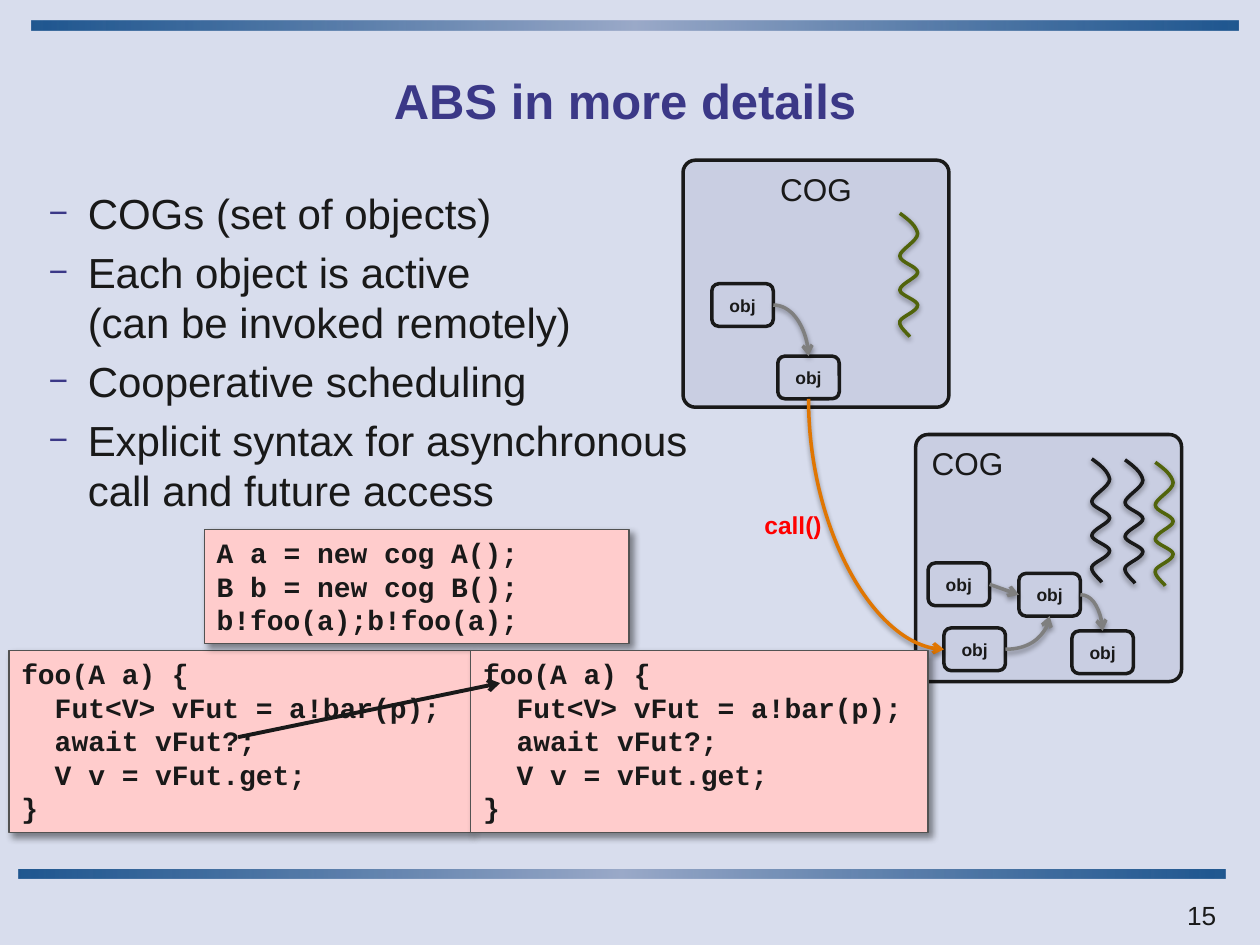
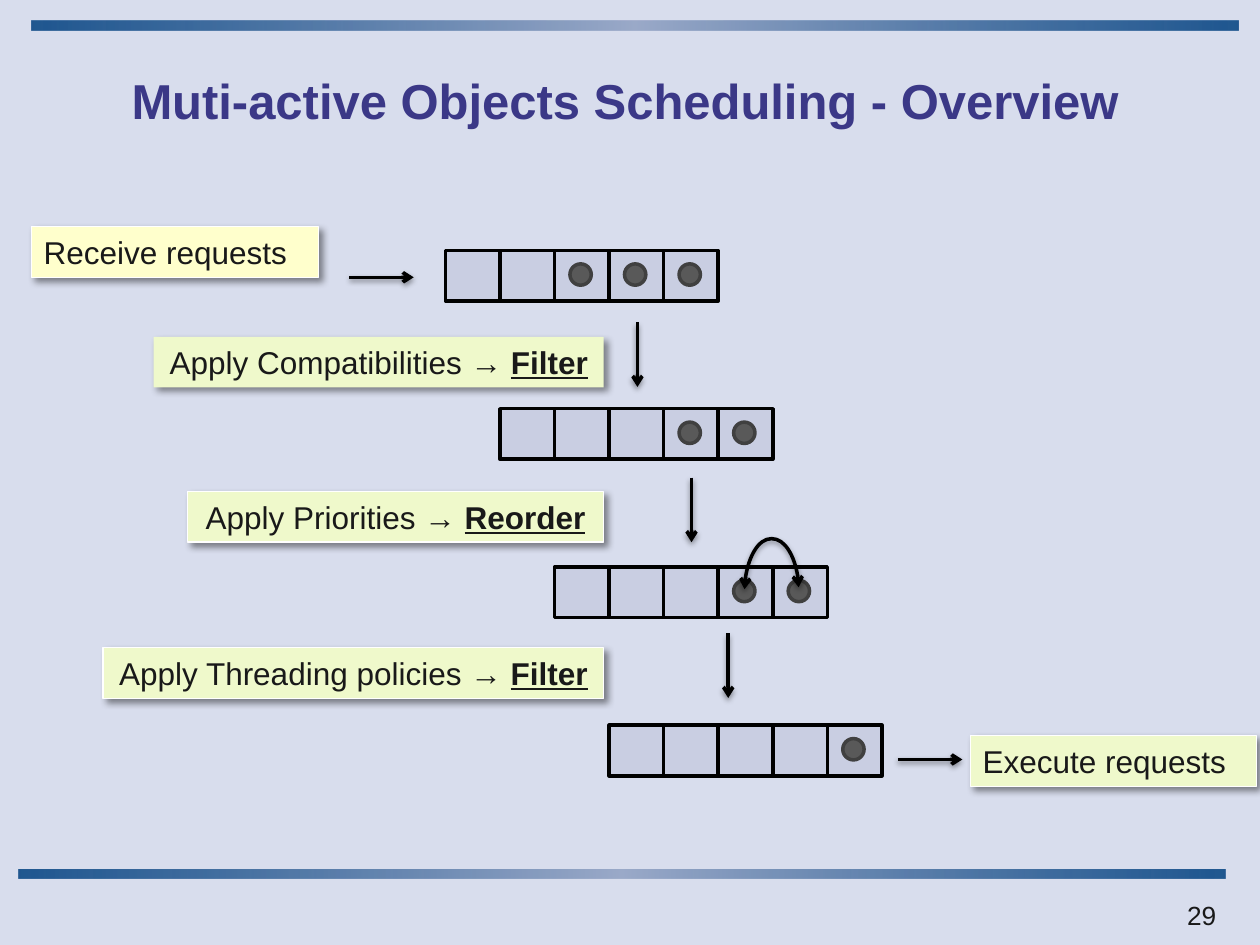
import pptx
import pptx.util
import pptx.dml.color
import pptx.enum.shapes
import pptx.enum.text
import pptx.oxml
import pptx.oxml.ns
from dataclasses import dataclass
from lxml import etree

Cm, Pt = pptx.util.Cm, pptx.util.Pt
SHAPE = pptx.enum.shapes.MSO_SHAPE
LINK = pptx.enum.shapes.MSO_CONNECTOR
ALIGN = pptx.enum.text.PP_ALIGN
ANCHOR = pptx.enum.text.MSO_ANCHOR
qn = pptx.oxml.ns.qn
TOP, LEFT, BOTTOM, RIGHT = range(4)


@dataclass(frozen=True)
class Theme:
    back: str = "D8DDED"
    ink: str = "191919"
    title: str = "3B3887"
    band_edge: str = "004080"
    band_mid: str = "9BAAC9"
    panel: str = "C9CEE2"
    code: str = "FFCCCC"
    code_edge: str = "525252"
    thread: str = "51640B"
    local_call: str = "7F7F7F"
    remote_call: str = "E07602"
    call_text: str = "FF0000"
    black: str = "000000"
    white: str = "FFFFFF"
    receive: str = "FFFFCC"
    step: str = "EFF9CB"
    dot: str = "595959"
    dot_edge: str = "404040"
    font: str = "Arial"
    mono: str = "Courier New"
    title_size: int = 28
    body_size: int = 24
    label_size: int = 18
    code_size: int = 16
    page_size: int = 15
    call_size: int = 14
    obj_size: int = 10
    soft_shadow: tuple = (38, 3.1, 1.6, 90)
    box_shadow: tuple = (43, 4, 3, 45)


T = Theme()


def rgb(color):
    return pptx.dml.color.RGBColor.from_string(color)


def sub(parent, tag, **attrs):
    el = etree.SubElement(parent, qn(tag))
    for name, value in attrs.items():
        el.set(name, str(value))
    return el


def add_shadow(sp, shadow):
    pr = sp._element.spPr
    for old in pr.findall(qn("a:effectLst")):
        pr.remove(old)
    effects = sub(pr, "a:effectLst")
    if shadow:
        alpha, blur, dist, angle = shadow
        outer = sub(effects, "a:outerShdw", blurRad=Pt(blur), dist=Pt(dist),
                    dir=angle * 60000, rotWithShape=0)
        sub(sub(outer, "a:srgbClr", val=T.black), "a:alpha", val=alpha * 1000)


def set_line(sp, color, width):
    if color is None:
        sp.line.fill.background()
        return
    sp.line.color.rgb = rgb(color)
    sp.line.width = Pt(width)


def add_box(shapes, box, fill, line=None, width=2, kind=SHAPE.RECTANGLE, shadow=None):
    sp = shapes.add_shape(kind, *map(Cm, box))
    sp.fill.solid()
    sp.fill.fore_color.rgb = rgb(fill)
    set_line(sp, line, width)
    add_shadow(sp, shadow)
    return sp


def add_text(sp, paragraphs, size, color=T.ink, align=ALIGN.LEFT, anchor=ANCHOR.TOP,
             wrap=True, name=T.font, bold=False):
    tf = sp.text_frame
    for key, value in {"word_wrap": wrap, "vertical_anchor": anchor}.items():
        setattr(tf, key, value)
    for i, runs in enumerate(paragraphs):
        p = tf.paragraphs[0] if i == 0 else tf.add_paragraph()
        p.alignment = align
        for text, extra in [(runs, {})] if isinstance(runs, str) else runs:
            style = {"name": name, "size": Pt(size), "bold": bold, **extra}
            for j, line in enumerate(text.split("\n")):
                if j:
                    p.add_line_break()
                r = p.add_run()
                r.text = line
                for key, value in style.items():
                    setattr(r.font, key, value)
                r.font.color.rgb = rgb(color)
    return tf


def add_arrow(s, start, end, color=T.black, width=2, kind=LINK.STRAIGHT,
              shadow=T.soft_shadow, both=False):
    joins = [pt if hasattr(pt[0], "shape_id") else None for pt in (start, end)]
    ends = [(0, 0) if join else pt for join, pt in zip(joins, (start, end))]
    cx = s.shapes.add_connector(kind, *map(Cm, ends[0] + ends[1]))
    if joins[0]:
        cx.begin_connect(*joins[0])
    if joins[1]:
        cx.end_connect(*joins[1])
    set_line(cx, color, width)
    ln = cx.line._get_or_add_ln()
    if both:
        sub(ln, "a:headEnd", type="arrow")
    sub(ln, "a:tailEnd", type="arrow")
    add_shadow(cx, shadow)
    return cx


def bend(cx, preset, rot=0, adjust=None, **flips):
    geom = cx._element.spPr.find(qn("a:prstGeom"))
    geom.set("prst", preset)
    if adjust is not None:
        sub(geom.find(qn("a:avLst")), "a:gd", name="adj1", fmla=f"val {adjust}")
    if rot:
        x, y, w, h = cx.left, cx.top, cx.width, cx.height
        cx.left, cx.top = x + (w - h) // 2, y + (h - w) // 2
        cx.width, cx.height = h, w
        xfrm = cx._element.spPr.find(qn("a:xfrm"))
        for flip in ("flipH", "flipV"):
            xfrm.attrib.pop(flip, None)
        for key, value in {"rot": rot * 60000, **flips}.items():
            xfrm.set(key, str(value))


def add_band(s, x, y):
    sp = add_box(s.shapes, (x, y, 24.33, 0.2), T.band_edge)
    pr = sp._element.spPr
    old = pr.find(qn("a:solidFill"))
    grad = etree.Element(qn("a:gradFill"), rotWithShape="1")
    stops = sub(grad, "a:gsLst")
    for pos, color in ((0, T.band_edge), (50, T.band_mid), (100, T.band_edge)):
        stop = sub(sub(stops, "a:gs", pos=pos * 1000), "a:srgbClr", val=color)
        if color == T.band_edge:
            sub(stop, "a:alpha", val=85000)
    sub(grad, "a:lin", ang=0, scaled=1)
    pr.replace(old, grad)


def add_base(prs, title, number):
    s = prs.slides.add_slide(prs.slide_layouts[6])
    add_band(s, 0.63, 0.42)
    add_band(s, 0.37, 17.52)
    add_text(s.shapes.add_textbox(*map(Cm, (1.12, 0.84, 22.96, 2.34))), [title],
             T.title_size, T.title, ALIGN.CENTER, ANCHOR.MIDDLE, bold=True)
    add_text(s.shapes.add_textbox(*map(Cm, (20.12, 18, 4.65, 0.64))), [number],
             T.page_size, align=ALIGN.RIGHT)
    return s


def add_bullets(s, box, items):
    tf = add_text(s.shapes.add_textbox(*map(Cm, box)), items, T.body_size)
    for i, p in enumerate(tf.paragraphs):
        pPr = p._p.get_or_add_pPr()
        pPr.set("marL", str(Cm(0.79)))
        pPr.set("indent", str(Cm(-0.79)))
        if i:
            p.space_before = Pt(4.8)
        sub(sub(pPr, "a:buClr"), "a:srgbClr", val=T.title)
        sub(pPr, "a:buSzPct", val=80000)
        sub(pPr, "a:buFont", typeface=T.font)
        sub(pPr, "a:buChar", char="−")


def add_thread(s, x, y, color):
    wave = [(0.18, 0.13), (0.33, 0.25), (0.36, 0.41), (0.36, 0.56), (0, 0.74), (0, 0.86),
            (0, 0.99), (0.36, 1.07), (0.36, 1.19), (0.36, 1.3), (0, 1.42), (0, 1.55),
            (0, 1.65), (0.36, 1.75), (0.36, 1.85), (0.36, 1.98), (0.03, 2.08), (0, 2.18),
            (-0.03, 2.29), (0.18, 2.44), (0.2, 2.49)]
    fb = s.shapes.build_freeform(Cm(x), Cm(y))
    fb.add_line_segments([(Cm(x + dx), Cm(y + dy)) for dx, dy in wave], close=False)
    sp = fb.convert_to_shape()
    sp.fill.background()
    set_line(sp, color, 2)
    add_shadow(sp, T.soft_shadow)
    outline = next(sp._element.iter(qn("a:path")))
    steps = outline.findall(qn("a:lnTo"))
    for i in range(0, len(steps), 3):
        curve = sub(outline, "a:cubicBezTo")
        for step in steps[i:i + 3]:
            curve.append(step[0])
            outline.remove(step)


def add_cog(s, x, y, align, objects, threads):
    cog = add_box(s.shapes, (x, y, 5.36, 4.98), T.panel, T.ink, kind=SHAPE.ROUNDED_RECTANGLE)
    cog.adjustments[0] = 0.05
    add_text(cog, ["COG"], T.label_size, align=align).margin_top = Cm(0.12)
    for dx, dy, color in threads:
        add_thread(s, x + dx, y + dy, color)
    made = []
    for dx, dy in objects:
        obj = add_box(s.shapes, (x + dx, y + dy, 1.24, 0.86), T.panel, T.ink,
                      kind=SHAPE.ROUNDED_RECTANGLE)
        add_text(obj, ["obj"], T.obj_size, align=ALIGN.CENTER, anchor=ANCHOR.MIDDLE,
                 wrap=False, bold=True)
        made.append(obj)
    return made


def add_code(s, box, lines):
    sp = add_box(s.shapes, box, T.code, T.code_edge, 0.75, shadow=T.box_shadow)
    add_text(sp, lines, T.code_size, name=T.mono, bold=True)


def add_label(s, box, runs, fill=T.step, line=T.white, align=ALIGN.CENTER):
    sp = add_box(s.shapes, box, fill, line, 0.75, shadow=T.box_shadow)
    add_text(sp, [runs], T.label_size, align=align, wrap=False)


def add_queue(s, x, y, requests, cells=5, cell=1.1):
    shapes = s.shapes.add_group_shape().shapes
    for i in range(cells):
        add_box(shapes, (x + i * cell, y, cell, 1.02), T.panel, T.black)
    for i in range(cells - requests, cells):
        add_box(shapes, (x + i * cell + 0.31, y + 0.27, 0.43, 0.43), T.dot, T.dot_edge,
                kind=SHAPE.OVAL)


def build_abs(prs):
    s = add_base(prs, "ABS in more details", "15")
    add_bullets(s, (0.73, 3.66, 19.86, 10.19), [
        "COGs (set of objects)",
        "Each object is active\n(can be invoked remotely)",
        "Cooperative scheduling",
        "Explicit syntax for asynchronous\ncall and future access"])
    caller, sender = add_cog(s, 13.77, 3.23, ALIGN.CENTER, [(0.58, 2.49), (1.91, 3.95)],
                             [(4.37, 1.07, T.thread)])
    first, target, middle, last = add_cog(
        s, 18.46, 8.76, ALIGN.LEFT, [(0.25, 2.59), (0.57, 3.9), (2.08, 2.8), (3.15, 3.96)],
        [(3.55, 0.49, T.ink), (4.22, 0.51, T.ink), (4.83, 0.56, T.thread)])
    for a, b, side in ((caller, sender, TOP), (target, middle, BOTTOM), (middle, last, TOP)):
        bend(add_arrow(s, (a, RIGHT), (b, side), T.local_call, kind=LINK.CURVE),
             "curvedConnector2")
    add_arrow(s, (first, RIGHT), (middle, LEFT), T.local_call)
    bend(add_arrow(s, (sender, BOTTOM), (target, LEFT), T.remote_call, kind=LINK.CURVE),
         "curvedConnector2", 270, flipH=1)
    add_text(s.shapes.add_textbox(*map(Cm, (15.16, 10.16, 1.78, 0.86))), ["call()"],
             T.call_size, T.call_text, wrap=False, bold=True)
    foo = ["foo(A a) {", "  Fut<V> vFut = a!bar(p);", "  await vFut?;",
           "  V v = vFut.get;", "}"]
    add_code(s, (0.18, 13.11, 9.3, 3.68), foo)
    add_code(s, (4.12, 10.67, 8.56, 2.31),
             ["A a = new cog A();", "B b = new cog B();", "b!foo(a);b!foo(a);"])
    add_code(s, (9.49, 13.11, 9.22, 3.68), foo)
    add_arrow(s, (4.8, 14.86), (10.08, 13.77), T.ink, 2.25, shadow=None)


def build_scheduling(prs):
    s = add_base(prs, "Muti-active Objects Scheduling - Overview", "29")
    for i, requests in enumerate((3, 2, 2, 1)):
        add_queue(s, 8.98 + 1.1 * i, 5.05 + 3.19 * i, requests)
    add_label(s, (0.63, 4.57, 5.79, 1.02), "Receive requests", T.receive, align=ALIGN.LEFT)
    add_label(s, (19.56, 14.83, 5.77, 1.02), "Execute requests", align=ALIGN.LEFT)
    for x, y, task, effect, line in (
            (3.1, 6.79, "Apply Compatibilities ", "Filter", None),
            (3.78, 9.91, "Apply Priorities ", "Reorder", T.white),
            (2.08, 13.06, "Apply Threading policies ", "Filter", T.white)):
        add_label(s, (x, y, 12.17 - x, 1.02),
                  [(task, {}), ("→ ", {"bold": True}),
                   (effect, {"bold": True, "underline": True})], line=line)
    for x, y in ((12.85, 6.5), (13.94, 9.63), (14.68, 12.77)):
        add_arrow(s, (x, y), (x, y + 1.3))
    for x, y in ((7.04, 5.59), (18.1, 15.31)):
        add_arrow(s, (x, y), (x + 1.3, y))
    swap = add_arrow(s, (15.01, 11.88), (16.1, 11.84), kind=LINK.CURVE, both=True)
    bend(swap, "curvedConnector3", 90, 2550000, flipH=1, flipV=1)


def main():
    prs = pptx.Presentation()
    prs.slide_width, prs.slide_height = Cm(25.4), Cm(19.05)
    fill = prs.slide_master.background.fill
    fill.solid()
    fill.fore_color.rgb = rgb(T.back)
    build_abs(prs)
    build_scheduling(prs)
    prs.save("out.pptx")


if __name__ == "__main__":
    main()
